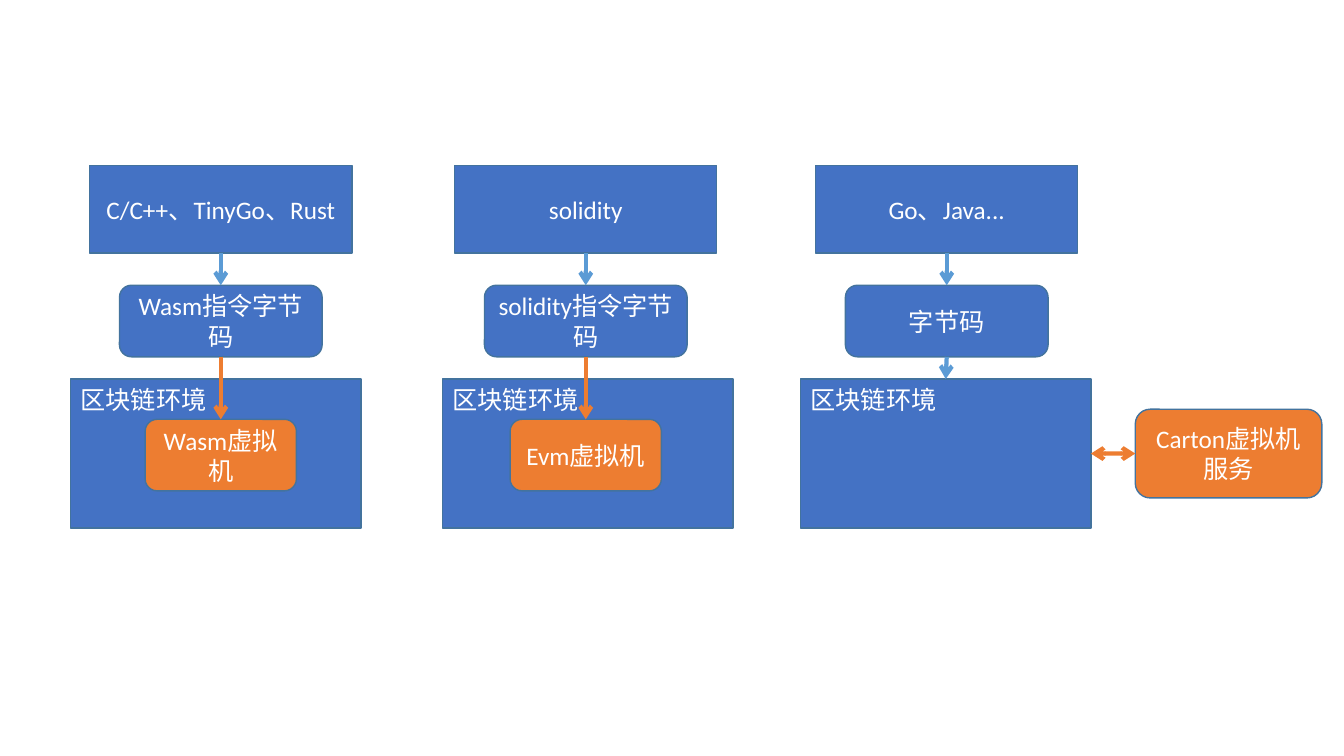
from dataclasses import dataclass
from pptx import Presentation
from pptx.dml.color import RGBColor
from pptx.enum.shapes import MSO_CONNECTOR as Link, MSO_SHAPE as Preset
from pptx.enum.text import MSO_ANCHOR as Anchor, PP_ALIGN as Align
from pptx.oxml.ns import qn
from pptx.util import Inches, Pt
from lxml.etree import SubElement


@dataclass(frozen=True)
class Theme:
    font: str = "Calibri"
    size: float = 18
    text: str = "FFFFFF"
    block: str = "4472C4"
    machine: str = "ED7D31"
    outline: str = "43739E"
    compile_arrow: str = "5B9BD5"
    outline_width: float = 1
    arrow_width: float = 3


@dataclass(frozen=True)
class Box:
    left: float
    top: float
    width: float
    height: float

    def centered(self, top, width, height, shift=0):
        left = self.left + (self.width - width) / 2 + shift
        return Box(left, self.top + top, width, height)


THEME = Theme()
TOP, BOTTOM, LEFT, RIGHT = 0, 2, 1, 3
COLUMN_TOP, COLUMN_WIDTH, COLUMN_HEIGHT = 1.64, 2.6, 3.6


def apply(target, values):
    for name, value in values.items():
        setattr(target, name, value)


def add_block(page, box, text, preset=Preset.RECTANGLE, fill=THEME.block,
              anchor=Anchor.MIDDLE, align=Align.CENTER):
    sides = (box.left, box.top, box.width, box.height)
    shape = page.shapes.add_shape(preset, *map(Inches, sides))
    shape.shadow.inherit = False
    shape.fill.solid()
    shape.fill.fore_color.rgb = RGBColor.from_string(fill)
    shape.line.color.rgb = RGBColor.from_string(THEME.outline)
    shape.line.width = Pt(THEME.outline_width)
    apply(shape.text_frame, {"word_wrap": True, "vertical_anchor": anchor})
    para = shape.text_frame.paragraphs[0]
    para.alignment = align
    span = para.add_run()
    span.text = text
    apply(span.font, {"name": THEME.font, "size": Pt(THEME.size)})
    span.font.color.rgb = RGBColor.from_string(THEME.text)
    return shape


def add_arrow(page, start, start_site, end, end_site, color, ends=("tailEnd",)):
    arrow = page.shapes.add_connector(Link.STRAIGHT, 0, 0, 0, 0)
    arrow.begin_connect(start, start_site)
    arrow.end_connect(end, end_site)
    arrow.line.color.rgb = RGBColor.from_string(color)
    arrow.line.width = Pt(THEME.arrow_width)
    for name in ends:
        SubElement(arrow.line._get_or_add_ln(), qn(f"a:{name}"), type="arrow")
    SubElement(arrow._element.spPr, qn("a:effectLst"))


def add_column(page, box, languages, bytecode, machine, shift):
    source = add_block(page, box.centered(0, box.width, 0.87), languages)
    chain = add_block(page, box.centered(2.12, 2.88, 1.48, shift), "区块链环境",
                      anchor=Anchor.TOP, align=Align.LEFT)
    code = add_block(page, box.centered(1.19, 2.01, 0.71), bytecode,
                     Preset.ROUNDED_RECTANGLE)
    add_arrow(page, source, BOTTOM, code, TOP, THEME.compile_arrow)
    if machine:
        runner = add_block(page, box.centered(2.52, 1.5, 0.71), machine,
                           Preset.ROUNDED_RECTANGLE, THEME.machine)
        add_arrow(page, code, BOTTOM, runner, TOP, THEME.machine)
    else:
        add_arrow(page, code, BOTTOM, chain, TOP, THEME.compile_arrow)
    return chain


def add_service(page, box, chain):
    service = add_block(page, box, "Carton虚拟机服务",
                        Preset.ROUNDED_RECTANGLE, THEME.machine)
    add_arrow(page, chain, RIGHT, service, LEFT, THEME.machine,
              ("headEnd", "tailEnd"))


def main():
    deck = Presentation()
    apply(deck, {"slide_width": Inches(13.33), "slide_height": Inches(7.5)})
    page = deck.slides.add_slide(deck.slide_layouts[6])
    columns = [
        (0.89, "C/C++、TinyGo、Rust", "Wasm指令字节码", "Wasm虚拟机", -0.05),
        (4.51, "solidity", "solidity指令字节码", "Evm虚拟机", 0.02),
        (8.09, "Go、Java...", "字节码", None, -0.01),
    ]
    for left, *content in columns:
        box = Box(left, COLUMN_TOP, COLUMN_WIDTH, COLUMN_HEIGHT)
        chain = add_column(page, box, *content)
    add_service(page, Box(11.26, 4.06, 1.85, 0.88), chain)
    deck.save("out.pptx")


if __name__ == "__main__":
    main()
